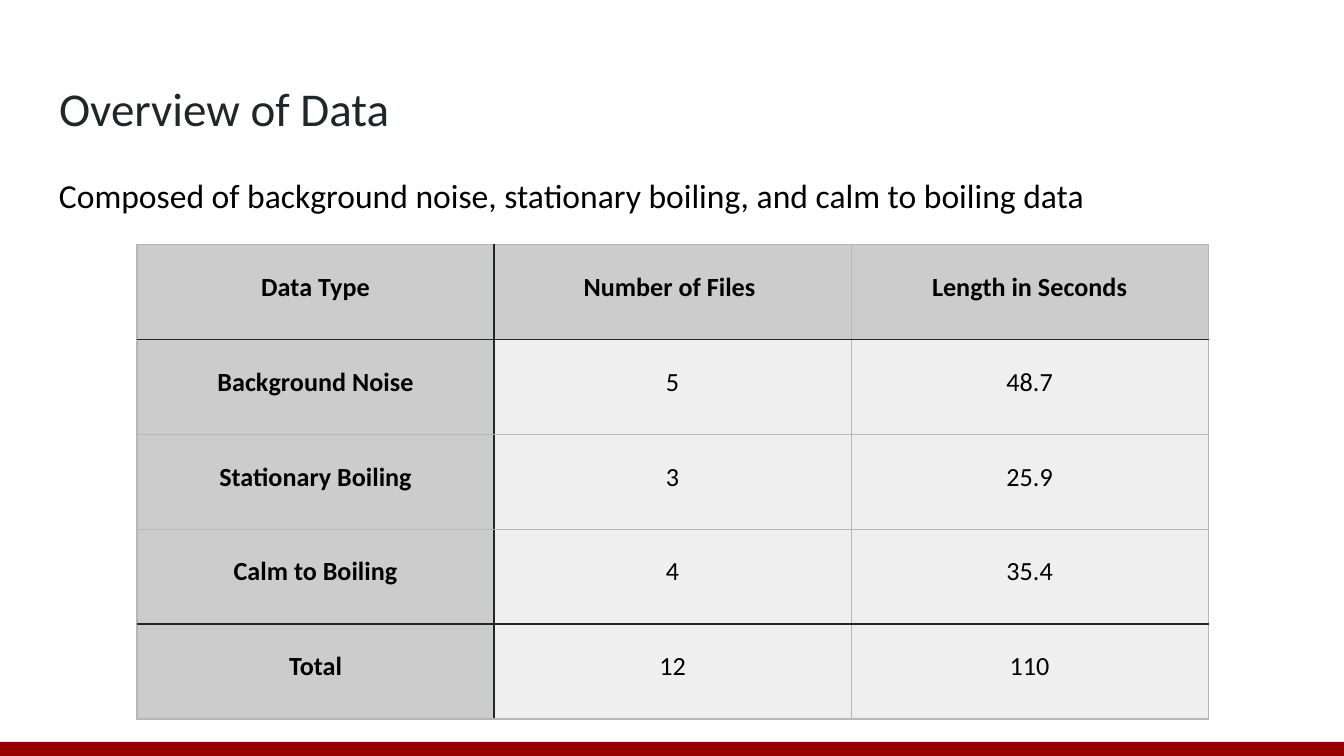
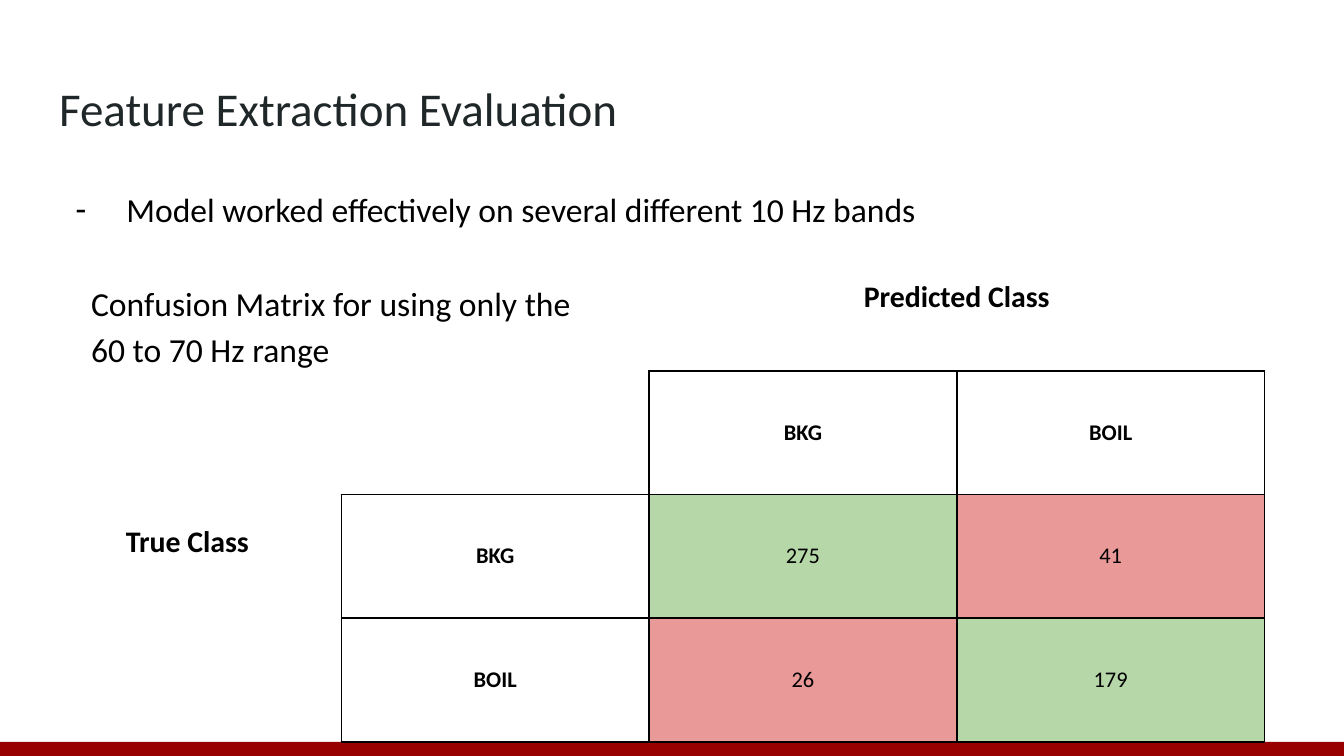
from pptx import Presentation
from pptx.dml.color import RGBColor
from pptx.enum.shapes import MSO_SHAPE as SHAPE
from pptx.enum.text import MSO_ANCHOR as ANCHOR, MSO_AUTO_SIZE as AUTO, PP_ALIGN as ALIGN
from pptx.oxml.ns import qn
from pptx.util import Inches, Pt
from lxml import etree

FONT = "Calibri"
COLORS = {
    "band": "980000", "ink": "202729", "text": "000000",
    "head": "CCCCCC", "cell": "EFEFEF", "rule": "B7B7B7",
    "right": "B6D7A8", "wrong": "EA9999",
}
# Each side of a cell: line tag, row step and column step to its neighbour
SIDES = [("a:lnL", 0, -1), ("a:lnR", 0, 1), ("a:lnT", -1, 0), ("a:lnB", 1, 0)]


def rgb(name):
    return RGBColor.from_string(COLORS[name])


def set_text(tf, text, size=18, color="text", bold=False, align=ALIGN.LEFT,
             line=1.0, after=0):
    p = tf.paragraphs[0]
    p.alignment, p.line_spacing = align, line
    p.space_before, p.space_after = Pt(0), Pt(after)
    r = p.add_run()
    r.text = text
    r.font.name, r.font.size, r.font.bold = FONT, Pt(size), bold
    r.font.color.rgb = rgb(color)
    return p


def set_frame(tf):
    tf.word_wrap, tf.auto_size = True, AUTO.NONE
    tf.vertical_anchor = ANCHOR.TOP
    tf.margin_left = tf.margin_right = tf.margin_top = tf.margin_bottom = Inches(0.1)


def fill_box(sp, text, left, top, width, height, **fmt):
    """Place a placeholder or text box and write its one paragraph."""
    sp.left, sp.top = Inches(left), Inches(top)
    sp.width, sp.height = Inches(width), Inches(height)
    set_frame(sp.text_frame)
    return set_text(sp.text_frame, text, **fmt)


def add_text(s, text, left, top, width, height, **fmt):
    return fill_box(s.shapes.add_textbox(0, 0, 0, 0), text, left, top, width, height, **fmt)


def add_bullet(p, char, indent, hanging):
    pPr = p._p.get_or_add_pPr()
    pPr.set("marL", str(Inches(indent)))
    pPr.set("indent", str(-Inches(hanging)))
    clr = etree.SubElement(pPr, qn("a:buClr"))
    etree.SubElement(clr, qn("a:srgbClr"), val=COLORS["text"])
    etree.SubElement(pPr, qn("a:buChar"), char=char)


def add_base(prs, layout, title):
    """New slide with the shared bottom band and title."""
    s = prs.slides.add_slide(prs.slide_layouts[layout])
    band = s.shapes.add_shape(SHAPE.RECTANGLE, 0, Inches(5.52), Inches(10), Inches(0.11))
    band.shadow.inherit = False
    band.fill.solid()
    band.fill.fore_color.rgb = rgb("band")
    band.line.fill.background()
    fill_box(s.shapes.title, title, 0.34, 0.49, 9.32, 0.63, size=25.2, color="ink")
    return s


def set_border(cell, tag, color, width):
    ln = etree.SubElement(cell._tc.get_or_add_tcPr(), qn(tag), w=str(Pt(width)))
    if color:
        fill = etree.SubElement(ln, qn("a:solidFill"))
        etree.SubElement(fill, qn("a:srgbClr"), val=COLORS[color])
    else:
        etree.SubElement(ln, qn("a:noFill"))


def add_grid(s, rows, left, top, col_width, heights, look, edge, line_width,
             margins, anchor):
    """Table; look(r, c) gives fill and text format, edge(r, c, dr, dc) a line colour."""
    n = len(rows[0])
    frame = s.shapes.add_table(len(rows), n, Inches(left), Inches(top),
                               Inches(col_width * n), Inches(sum(heights)))
    table = frame.table
    table.first_row = table.horz_banding = False
    for col in table.columns:
        col.width = Inches(col_width)
    for r, row in enumerate(rows):
        table.rows[r].height = Inches(heights[r])
        for c, text in enumerate(row):
            cell = table.cell(r, c)
            (cell.margin_left, cell.margin_top,
             cell.margin_right, cell.margin_bottom) = map(Inches, margins)
            cell.vertical_anchor = anchor
            for tag, dr, dc in SIDES:
                set_border(cell, tag, edge(r, c, dr, dc), line_width)
            fill, fmt = look(r, c)
            if fill:
                cell.fill.solid()
                cell.fill.fore_color.rgb = rgb(fill)
            else:
                cell.fill.background()
            if text:
                set_text(cell.text_frame, text, align=ALIGN.CENTER, **fmt)
    return table


def build_overview(prs):
    s = add_base(prs, 5, "Overview of Data")
    add_text(s, "Composed of background noise, stationary boiling, and calm to boiling data",
             0.34, 1.2, 9.02, 4.09)
    rows = [
        ("Data Type", "Number of Files ", "Length in Seconds"),
        ("Background Noise", "5", "48.7"),
        ("Stationary Boiling", "3", "25.9"),
        ("Calm to Boiling", "4", "35.4"),
        ("Total", "12", "110"),
    ]

    def look(r, c):
        head = r == 0 or c == 0
        return "head" if head else "cell", {"size": 14, "bold": head}

    def edge(r, c, dr, dc):
        # Dark lines after the header row, the header column and above the total
        dark = max(c, c + dc) == 1 if dc else max(r, r + dr) in (1, len(rows) - 1)
        return "ink" if dark else "rule"

    add_grid(s, rows, 1.02, 1.82, 7.97 / 3, [3.53 / len(rows)] * len(rows), look, edge,
             0.75, (0.1, 0.2, 0.1, 0.1), ANCHOR.TOP)


def build_evaluation(prs):
    s = add_base(prs, 1, "Feature Extraction Evaluation")
    p = fill_box(s.placeholders[1], "Model worked effectively on several different 10 Hz bands",
                 0.34, 1.26, 9.32, 3.74, line=1.15)
    add_bullet(p, "-", 0.5, 0.38)

    # Confusion matrix
    rows = [
        ("", "", "Predicted Class", ""),
        ("True Class", "", "BKG", "BOIL"),
        ("", "BKG", "275", "41"),
        ("", "BOIL", "26", "179"),
    ]

    def boxed(r, c):
        return 1 <= r <= 3 and 1 <= c <= 3 and (r, c) != (1, 1)

    def look(r, c):
        if r >= 2 and c >= 2:
            return "right" if r == c else "wrong", {"size": 12}
        return None, {"size": 12 if boxed(r, c) else 16, "bold": True}

    def edge(r, c, dr, dc):
        return "text" if boxed(r, c) or boxed(r + dr, c + dc) else None

    table = add_grid(s, rows, 0.25, 1.66, 2.29, [1.1] + [0.92] * 3, look, edge,
                     1, (0.07,) * 4, ANCHOR.MIDDLE)
    table.cell(0, 2).merge(table.cell(0, 3))
    table.cell(1, 0).merge(table.cell(3, 0))
    table.cell(1, 0).margin_bottom = Inches(0.28)  # lifts the label slightly

    add_text(s, "Confusion Matrix for using only the 60 to 70 Hz range",
             0.58, 1.96, 4, 1.47, line=1.15, after=12)


def main():
    prs = Presentation()
    prs.slide_width = Inches(10)
    prs.slide_height = prs.slide_width * 9 // 16
    build_overview(prs)
    build_evaluation(prs)
    prs.save("out.pptx")


if __name__ == "__main__":
    main()
